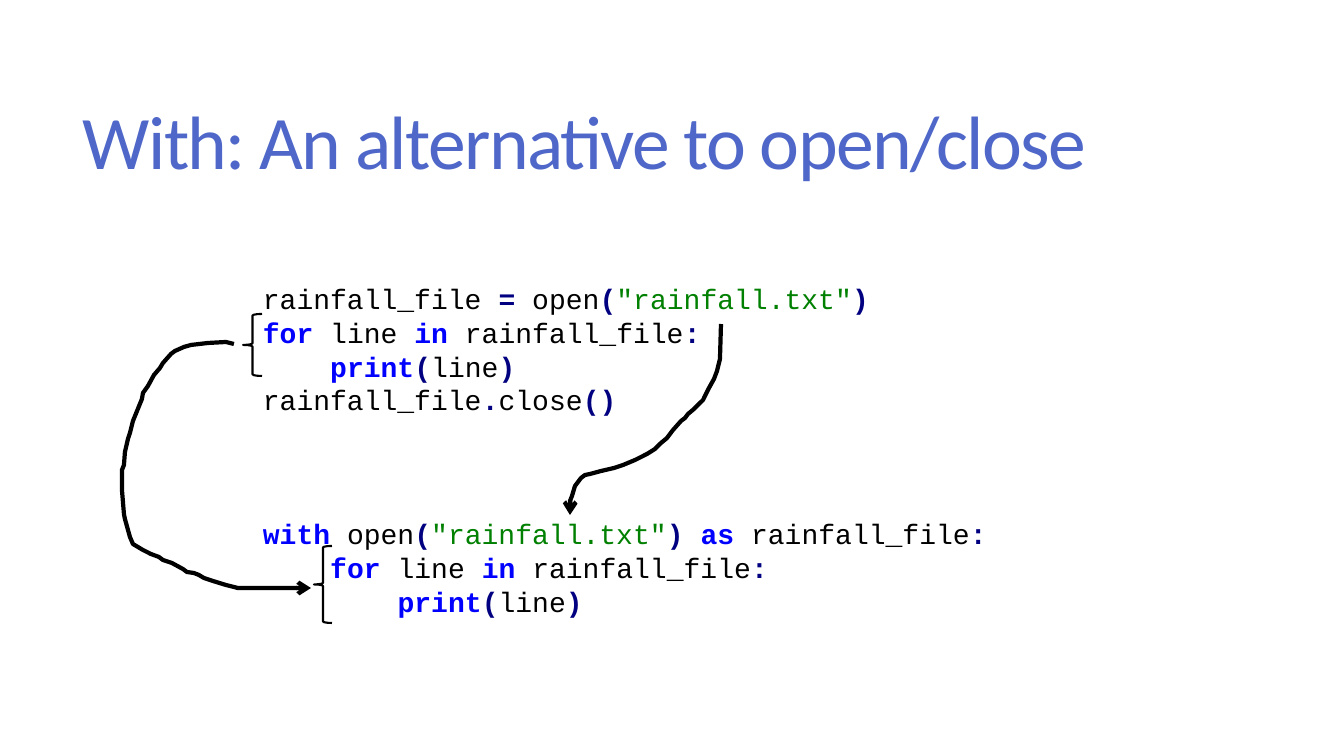
import pptx
import pptx.dml.color
import pptx.enum.shapes
import pptx.enum.text
import pptx.oxml
import pptx.oxml.ns
import pptx.util

PX = 9071  # EMU in one px
BLACK, NAVY, BLUE, GREEN = "000000", "000080", "0000FF", "008000"


def hue(code):
    return pptx.dml.color.RGBColor.from_string(code)


def text(lines, box, font, size, anchor="TOP", space=None, track=None):
    """Each line is a list of (words, colour) runs; blue and navy are bold."""
    frame = slide.shapes.add_textbox(*[n * PX for n in box]).text_frame
    frame.word_wrap = True
    frame.vertical_anchor = pptx.enum.text.MSO_ANCHOR[anchor]
    for i, line in enumerate(lines):
        para = frame.add_paragraph() if i else frame.paragraphs[0]
        para.line_spacing = space
        for words, color in line:
            run = para.add_run()
            run.text = words
            run.font.name = font
            run.font.size = pptx.util.Pt(size)
            run.font.bold = color in (BLUE, NAVY)
            run.font.color.rgb = hue(color)
            if track:
                run.font._element.set("spc", str(track))


deck = pptx.Presentation()
deck.slide_width, deck.slide_height = 1344 * PX, 756 * PX
slide = deck.slides.add_slide(deck.slide_layouts[6])

# Title
text([[("With: An alternative to open/close", "4E67C8")]], (73, 55, 1187, 182),
     "Calibri", 54, anchor="MIDDLE", space=0.85, track=-120)

# Code: the loop is the same in both listings
call = [(" open", BLACK), ("(", NAVY), ('"rainfall.txt"', GREEN)]
head = [("for", BLUE), (" line ", BLACK), ("in ", BLUE),
        ("rainfall_file", BLACK), (":", NAVY)]
body = [("    ", BLACK), ("print", BLUE), ("(", NAVY), ("line", BLACK), (")", NAVY)]
tab = [("    ", BLACK)]

before = [
    [("rainfall_file ", BLACK), ("=", NAVY)] + call + [(")", NAVY)],
    head,
    body,
    [("rainfall_file", BLACK), (".", NAVY), ("close", BLACK), ("()", NAVY)],
]
after = [
    [("with", BLUE)] + call + [(") ", NAVY), ("as ", BLUE),
                               ("rainfall_file", BLACK), (":", NAVY)],
    tab + head,
    tab + body,
]
text(before, (253, 277, 847, 146), "Courier New", 20)
text(after, (253, 512, 847, 112), "Courier New", 20)

# Hand-drawn arrows
paths = [
    [(721, 324), (720, 359), (717, 371), (714, 379), (709, 388), (703, 400),
     (694, 409), (688, 414), (685, 418), (681, 421), (673, 430), (667, 438),
     (661, 443), (655, 449), (647, 454), (635, 460), (623, 465), (614, 468),
     (601, 471), (590, 474), (585, 475), (581, 478), (575, 486), (572, 496),
     (570, 501), (570, 515)],
    [(234, 344), (226, 342), (208, 343), (191, 345), (184, 347), (175, 351),
     (171, 354), (163, 363), (160, 368), (154, 375), (148, 386), (143, 393),
     (142, 399), (133, 421), (130, 433), (128, 439), (125, 452), (124, 465),
     (122, 470), (122, 490), (124, 514), (125, 519), (130, 537), (133, 544),
     (143, 550), (151, 554), (159, 557), (163, 560), (172, 563), (183, 569),
     (187, 572), (194, 573), (199, 575), (204, 578), (213, 581), (226, 585),
     (238, 588), (311, 588)],
]
marks = []
for start, *rest in paths:
    pen = slide.shapes.build_freeform(*start, scale=PX)
    pen.add_line_segments(rest, close=False)
    arrow = pen.convert_to_shape()
    tip = pptx.oxml.parse_xml(
        f'<a:tailEnd {pptx.oxml.ns.nsdecls("a")} type="arrow"/>')
    marks.append((arrow, 3, tip))

# Braces around the loops
for box in [(314, 546, 18, 77), (243, 314, 19, 62)]:
    brace = slide.shapes.add_shape(
        pptx.enum.shapes.MSO_SHAPE.LEFT_BRACE, *[n * PX for n in box])
    marks.append((brace, 1.5, None))

# Shared line style
for mark, width, tip in marks:
    mark.shadow.inherit = False
    mark.fill.background()
    mark.line.color.rgb = hue(BLACK)
    mark.line.width = pptx.util.Pt(width)
    if tip is not None:
        mark.line._get_or_add_ln().append(tip)

deck.save("out.pptx")
